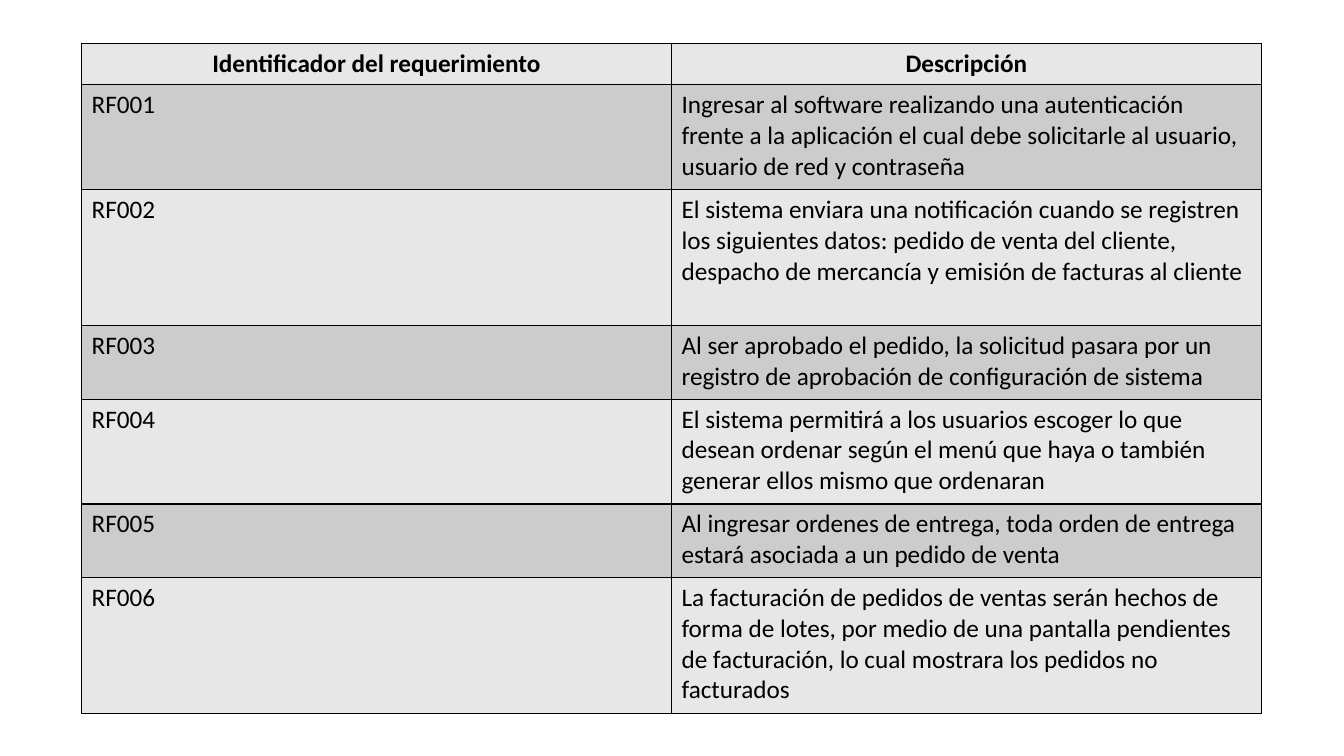
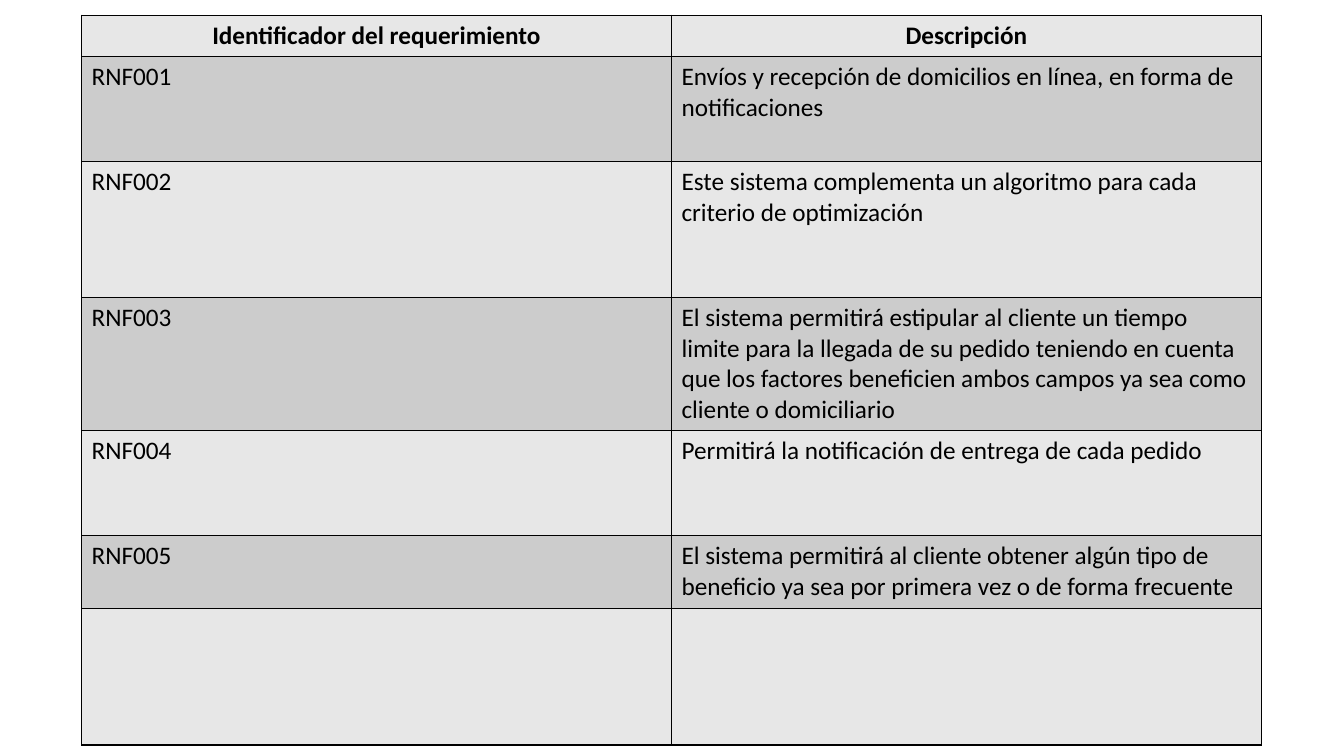
from dataclasses import dataclass

from lxml import etree
from pptx import Presentation
from pptx import slide as sld
from pptx import table as tbl
from pptx.dml.color import RGBColor
from pptx.enum import text
from pptx.oxml import ns
from pptx.util import Inches, Pt

FONT = "Calibri"
INK = "000000"
LIGHT_BAND = "E7E7E7"
DARK_BAND = "CCCCCC"
HEADINGS = ("Identificador del requerimiento", "Descripción")
HEADING_HEIGHT = 0.41
TABLE_LEFT = 0.81
COLUMN_WIDTH = 5.85
BLANK_LAYOUT = 6


@dataclass(frozen=True)
class Requirement:
    code: str
    description: str
    height: float


@dataclass(frozen=True)
class RequirementSheet:
    top: float
    requirements: tuple[Requirement, ...]


FUNCTIONAL = RequirementSheet(0.43, (
    Requirement("RF001", "Ingresar al software realizando una autenticación frente a la aplicación "
                "el cual debe solicitarle al usuario, usuario de red y contraseña", 1.04),
    Requirement("RF002", "El sistema enviara una notificación cuando se registren los siguientes "
                "datos: pedido de venta del cliente, despacho de mercancía y emisión de facturas "
                "al cliente", 1.35),
    Requirement("RF003", "Al ser aprobado el pedido, la solicitud pasara por un registro de "
                "aprobación de configuración de sistema", 0.73),
    Requirement("RF004", "El sistema permitirá a los usuarios escoger lo que desean ordenar según "
                "el menú que haya o también generar ellos mismo que ordenaran", 1.04),
    Requirement("RF005", "Al ingresar ordenes de entrega, toda orden de entrega estará asociada a "
                "un pedido de venta", 0.73),
    Requirement("RF006", "La facturación de pedidos de ventas serán hechos de forma de lotes, por "
                "medio de una pantalla pendientes de facturación, lo cual mostrara los pedidos no "
                "facturados", 1.35),
))

NON_FUNCTIONAL = RequirementSheet(0.15, (
    Requirement("RNF001", "Envíos y recepción de domicilios en línea, en forma de notificaciones",
                1.04),
    Requirement("RNF002", "Este sistema complementa un algoritmo para cada criterio de "
                "optimización", 1.35),
    Requirement("RNF003", "El sistema permitirá estipular al cliente un tiempo limite para la "
                "llegada de su pedido teniendo en cuenta que los factores beneficien ambos campos "
                "ya sea como cliente o domiciliario", 1.32),
    Requirement("RNF004", "Permitirá la notificación de entrega de cada pedido", 1.04),
    Requirement("RNF005", "El sistema permitirá al cliente obtener algún tipo de beneficio ya sea "
                "por primera vez o de forma frecuente", 0.73),
    Requirement("", "", 1.35),
))


def color(value: str) -> RGBColor:
    return RGBColor.from_string(value)


def outline_cell(cell: tbl._Cell) -> None:
    properties = cell._tc.get_or_add_tcPr()
    for side in ("a:lnL", "a:lnR", "a:lnT", "a:lnB"):
        border = etree.SubElement(properties, ns.qn(side), w=str(Pt(1)))
        ink = etree.SubElement(border, ns.qn("a:solidFill"))
        etree.SubElement(ink, ns.qn("a:srgbClr"), val=INK)


def write_cell(cell: tbl._Cell, wording: str, band: str, heading: bool) -> None:
    outline_cell(cell)
    cell.fill.solid()
    cell.fill.fore_color.rgb = color(band)
    if not wording:
        return
    cell.text_frame.text = wording
    paragraph = cell.text_frame.paragraphs[0]
    paragraph.alignment = text.PP_ALIGN.CENTER if heading else text.PP_ALIGN.LEFT
    font = paragraph.runs[0].font
    font.name, font.size, font.bold = FONT, Pt(18), heading
    font.color.rgb = color(INK)


def draw_sheet(slide: sld.Slide, sheet: RequirementSheet) -> None:
    rows = [(HEADINGS, HEADING_HEIGHT)]
    rows += [((item.code, item.description), item.height) for item in sheet.requirements]
    total_height = sum(height for _, height in rows)
    requirements = slide.shapes.add_table(
        len(rows), len(HEADINGS), Inches(TABLE_LEFT), Inches(sheet.top),
        Inches(COLUMN_WIDTH * len(HEADINGS)), Inches(total_height)).table
    for column in requirements.columns:
        column.width = Inches(COLUMN_WIDTH)
    for index, (wordings, height) in enumerate(rows):
        requirements.rows[index].height = Inches(height)
        band = DARK_BAND if index % 2 else LIGHT_BAND
        for cell, wording in zip(requirements.rows[index].cells, wordings):
            write_cell(cell, wording, band, heading=index == 0)


def main() -> None:
    deck = Presentation()
    deck.slide_width, deck.slide_height = Inches(13.33), Inches(7.5)
    for sheet in (FUNCTIONAL, NON_FUNCTIONAL):
        draw_sheet(deck.slides.add_slide(deck.slide_layouts[BLANK_LAYOUT]), sheet)
    deck.save("out.pptx")


if __name__ == "__main__":
    main()
